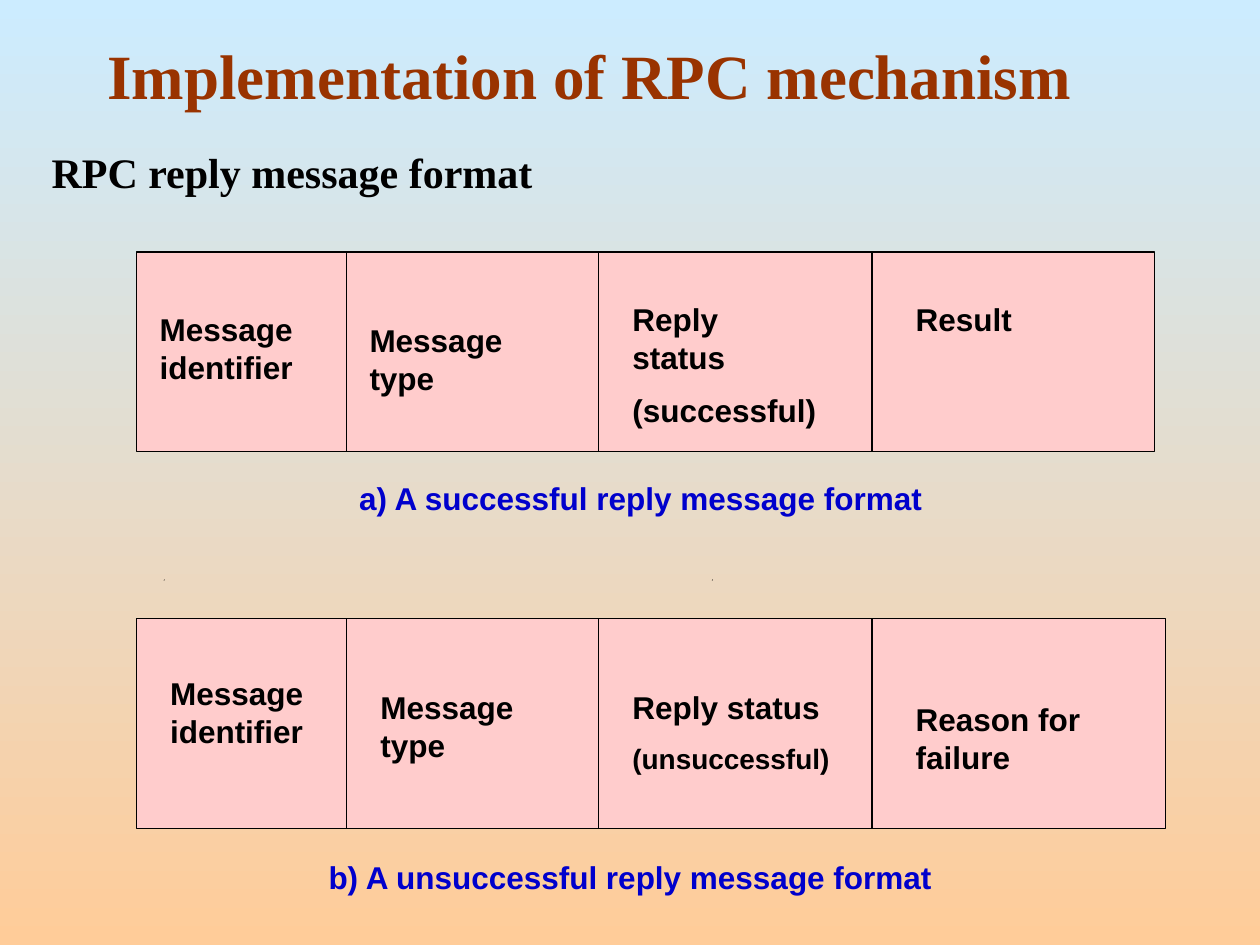
from lxml.etree import SubElement
from pptx import Presentation
from pptx.dml.color import RGBColor
from pptx.enum.shapes import MSO_CONNECTOR, MSO_SHAPE
from pptx.enum.text import MSO_ANCHOR, MSO_AUTO_SIZE, PP_ALIGN
from pptx.oxml.ns import qn
from pptx.util import Cm, Pt

COLORS = {
    "sky": "CCECFF",
    "peach": "FFCC99",
    "title": "993300",
    "field": "FFCCCC",
    "caption": "0000CC",
    "black": "000000",
}
DIVIDERS = (4.24, 9.32, 14.83)


def rgb(name):
    return RGBColor.from_string(COLORS[name])


def style(p, size, font="Arial", color="black", align=PP_ALIGN.LEFT):
    p.alignment = align
    p.font.size = Pt(size)
    p.font.name = font
    p.font.bold = True
    p.font.color.rgb = rgb(color)


def add_text(shapes, box, lines, **look):
    tf = shapes.add_textbox(*map(Cm, box)).text_frame
    tf.word_wrap = True
    tf.auto_size = MSO_AUTO_SIZE.SHAPE_TO_FIT_TEXT
    for i, (text, size) in enumerate(lines):
        p = tf.add_paragraph() if i else tf.paragraphs[0]
        p.text = text
        style(p, size, **look)
        if i:
            p.space_before = Pt(9)


def add_background(s):
    fill = s.background.fill
    fill.gradient()
    fill.gradient_angle = 270
    for stop, name in zip(fill.gradient_stops, ("sky", "peach")):
        stop.color.rgb = rgb(name)


def add_speck(s, x, y):
    builder = s.shapes.build_freeform(Cm(x), Cm(y))
    builder.add_line_segments([(Cm(x + 0.02), Cm(y)), (Cm(x + 0.02), Cm(y - 0.02))])
    sp = builder.convert_to_shape()
    sp.shadow.inherit = False
    sp.fill.solid()
    sp.fill.fore_color.rgb = rgb("black")
    sp.line.fill.background()


def add_title(s, box, text):
    sp = s.shapes.title
    sp.left, sp.top, sp.width, sp.height = map(Cm, box)
    tf = sp.text_frame
    tf.text = text
    tf.vertical_anchor = MSO_ANCHOR.MIDDLE
    style(tf.paragraphs[0], 36, "Times New Roman", "title")


def add_message(s, box, fields):
    left, top, width, height = box
    shapes = s.shapes.add_group_shape().shapes
    sp = shapes.add_shape(MSO_SHAPE.RECTANGLE, *map(Cm, box))
    sp.shadow.inherit = False
    sp.fill.solid()
    sp.fill.fore_color.rgb = rgb("field")
    sp.line.color.rgb = rgb("black")
    sp.line.width = Pt(0.75)
    for dx in DIVIDERS:
        x = Cm(left + dx)
        line = shapes.add_connector(MSO_CONNECTOR.STRAIGHT, x, Cm(top), x, Cm(top + height))
        line.line.color.rgb = rgb("black")
        line.line.width = Pt(0.75)
        SubElement(line._element.spPr, qn("a:effectLst"))
    for dx, dy, w, h, lines in fields:
        add_text(shapes, (left + dx, top + dy, w, h), lines)


def main():
    prs = Presentation()
    prs.slide_width, prs.slide_height = Cm(25.4), Cm(19.05)
    s = prs.slides.add_slide(prs.slide_layouts[5])
    add_background(s)
    add_speck(s, 3.3, 11.7)
    add_speck(s, 14.35, 11.7)
    add_title(s, (1.91, 0.64, 22.43, 1.7), "Implementation of RPC mechanism")

    add_message(s, (2.75, 5.08, 20.53, 4.02), [
        (0.22, 1.04, 3.61, 1.78, [("Message identifier", 18)]),
        (4.45, 1.27, 4.24, 1.78, [("Message type", 18)]),
        (9.75, 0.84, 4.24, 2.92, [("Reply status", 18), ("(successful)", 18)]),
        (15.46, 0.84, 4.01, 1.02, [("Result", 18)]),
    ])
    add_message(s, (2.75, 12.47, 20.75, 4.24), [
        (0.43, 0.99, 3.61, 1.78, [("Message identifier", 18)]),
        (4.67, 1.27, 4.24, 1.78, [("Message type", 18)]),
        (9.75, 1.27, 4.65, 2.03, [("Reply status", 18), ("(unsuccessful)", 16)]),
        (15.46, 1.52, 4.01, 1.78, [("Reason for failure", 18)]),
    ])

    captions = [
        (3.6, 9.53, "a) A successful reply message format"),
        (3.39, 17.17, "b) A unsuccessful reply message format"),
    ]
    for x, y, text in captions:
        add_text(s.shapes, (x, y, 18.63, 1.02), [(text, 18)],
                 color="caption", align=PP_ALIGN.CENTER)
    add_text(s.shapes, (0.79, 2.82, 15.03, 1.27),
             [("RPC reply message format", 24)], font="Times New Roman")
    prs.save("out.pptx")


if __name__ == "__main__":
    main()
